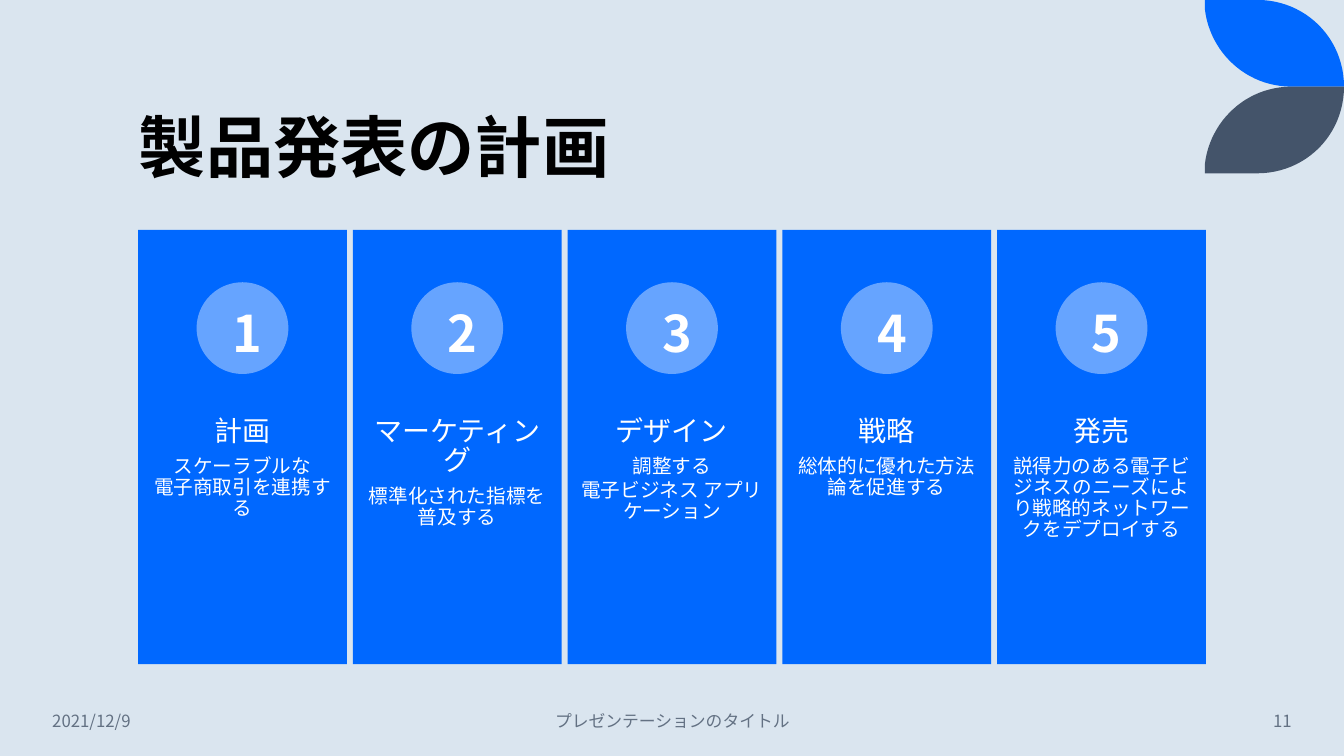
from lxml import etree
from pptx import Presentation
from pptx.dml.color import RGBColor
from pptx.enum.shapes import MSO_SHAPE
from pptx.enum.text import MSO_ANCHOR, PP_ALIGN
from pptx.oxml.ns import qn
from pptx.util import Inches, Pt

LEFT, CENTER, RIGHT = PP_ALIGN.LEFT, PP_ALIGN.CENTER, PP_ALIGN.RIGHT
TOP, MIDDLE, BOTTOM = MSO_ANCHOR.TOP, MSO_ANCHOR.MIDDLE, MSO_ANCHOR.BOTTOM
RECTANGLE, OVAL = MSO_SHAPE.RECTANGLE, MSO_SHAPE.OVAL

FONT = "Noto Sans CJK JP"
BACKGROUND, BLUE, SLATE, LIGHT_BLUE = "DAE5EF", "0068FF", "44546A", "66A4FF"
BLACK, WHITE, GRAY = "000000", "FFFFFF", "637183"

STEPS = [
    ("計画", ["スケーラブルな\v電子商取引を連携する"]),
    ("マーケティング", ["標準化された指標を普及する"]),
    ("デザイン", ["調整する", "電子ビジネス アプリケーション"]),
    ("戦略", ["総体的に優れた方法論を促進する"]),
    ("発売", ["説得力のある電子ビジネスのニーズにより戦略的ネットワークをデプロイする"]),
]
CARD_LEFT, CARD_TOP, CARD_WIDTH, CARD_HEIGHT = 1.37, 2.28, 2.07, 4.31
CARD_PITCH = 2.13
CIRCLE_SIZE = 0.91
LEAF_LEFT, LEAF_RIGHT, LEAF_HEIGHT = 11.95, 13.33, 0.86
CURVE_STEPS = 24


def paint(fill, color):
    fill.solid()
    fill.fore_color.rgb = RGBColor.from_string(color)


def finish_shape(shape, color):
    paint(shape.fill, color)
    shape.line.fill.background()
    shape.shadow.inherit = False


def add_panel(slide, preset, left, top, width, height, color):
    panel = slide.shapes.add_shape(
        preset, Inches(left), Inches(top), Inches(width), Inches(height))
    finish_shape(panel, color)


def add_text_box(slide, left, top, width, height, anchor=TOP,
                 insets=(0.1, 0.05, 0.1, 0.05)):
    box = slide.shapes.add_textbox(
        Inches(left), Inches(top), Inches(width), Inches(height))
    frame = box.text_frame
    frame.word_wrap = True
    frame.vertical_anchor = anchor
    frame.margin_left, frame.margin_top, frame.margin_right, frame.margin_bottom = (
        Inches(inset) for inset in insets)
    return frame


def write(paragraph, text, size, color, bold=False, align=LEFT, spacing=None, after=0):
    paragraph.text = text
    paragraph.alignment = align
    paragraph.space_after = Pt(after)
    if spacing:
        paragraph.line_spacing = spacing
    for run in paragraph.runs:
        run.font.size = Pt(size)
        run.font.bold = bold
        run.font.color.rgb = RGBColor.from_string(color)
        run.font.name = FONT
        east_asian = etree.SubElement(run.font._element, qn("a:ea"))
        east_asian.set("typeface", FONT)


def curve(start, control1, control2, end):
    points = []
    for step in range(1, CURVE_STEPS + 1):
        t = step / CURVE_STEPS
        weights = ((1 - t) ** 3, 3 * t * (1 - t) ** 2, 3 * t * t * (1 - t), t ** 3)
        corners = (start, control1, control2, end)
        points.append(tuple(
            sum(weight * corner[axis] for weight, corner in zip(weights, corners))
            for axis in (0, 1)))
    return points


def add_leaf(slide, outer_y, direction, color):
    tip = (LEAF_RIGHT, LEAF_HEIGHT)
    outline = [(12.47, 0)]
    outline += curve((12.47, 0), (12.95, 0), (LEAF_RIGHT, 0.38), tip)
    outline += [(12.81, LEAF_HEIGHT)]
    outline += curve((12.81, LEAF_HEIGHT), (12.36, LEAF_HEIGHT), (12, 0.52), (LEAF_LEFT, 0.09))
    points = [(Inches(x), Inches(outer_y + direction * y)) for x, y in outline]
    builder = slide.shapes.build_freeform(Inches(LEAF_LEFT), Inches(outer_y))
    builder.add_line_segments(points, close=True)
    finish_shape(builder.convert_to_shape(), color)


def add_step(slide, index, heading, details):
    left = CARD_LEFT + index * CARD_PITCH
    add_panel(slide, RECTANGLE, left, CARD_TOP, CARD_WIDTH, CARD_HEIGHT, BLUE)
    add_panel(slide, OVAL, left + (CARD_WIDTH - CIRCLE_SIZE) / 2, 2.8,
              CIRCLE_SIZE, CIRCLE_SIZE, LIGHT_BLUE)

    number = add_text_box(slide, left + 0.84, 2.89, 0.38, 0.71)
    write(number.paragraphs[0], str(index + 1), 36, WHITE, bold=True,
          align=CENTER, spacing=Pt(47))

    body = add_text_box(slide, left, 4, CARD_WIDTH, 1.72, insets=(0.11, 0.14, 0.11, 0.11))
    write(body.paragraphs[0], heading, 20, WHITE, align=CENTER, spacing=Pt(21), after=7)
    for detail in details:
        write(body.add_paragraph(), detail, 14, WHITE, align=CENTER, spacing=Pt(15), after=2)


def add_footer(slide, text, left, width, align):
    footer = add_text_box(slide, left, 6.95, width, 0.4, anchor=MIDDLE)
    write(footer.paragraphs[0], text, 12, GRAY, align=align)


def main():
    deck = Presentation()
    deck.slide_width, deck.slide_height = Inches(13.33), Inches(7.5)
    slide = deck.slides.add_slide(deck.slide_layouts[6])
    paint(slide.background.fill, BACKGROUND)

    add_leaf(slide, 0, 1, BLUE)
    add_leaf(slide, 2 * LEAF_HEIGHT, -1, SLATE)

    title = add_text_box(slide, 1.28, 0.42, 10.69, 1.45, anchor=BOTTOM,
                         insets=(0.1, 0.05, 0.1, 0.01))
    write(title.paragraphs[0], "製品発表の計画", 48, BLACK, bold=True, spacing=0.9)

    for index, (heading, details) in enumerate(STEPS):
        add_step(slide, index, heading, details)

    add_footer(slide, "2021/12/9", 0.42, 1.86, LEFT)
    add_footer(slide, "プレゼンテーションのタイトル", 4.42, 4.5, CENTER)
    add_footer(slide, "11", 11.1, 1.81, RIGHT)
    deck.save("out.pptx")


if __name__ == "__main__":
    main()
